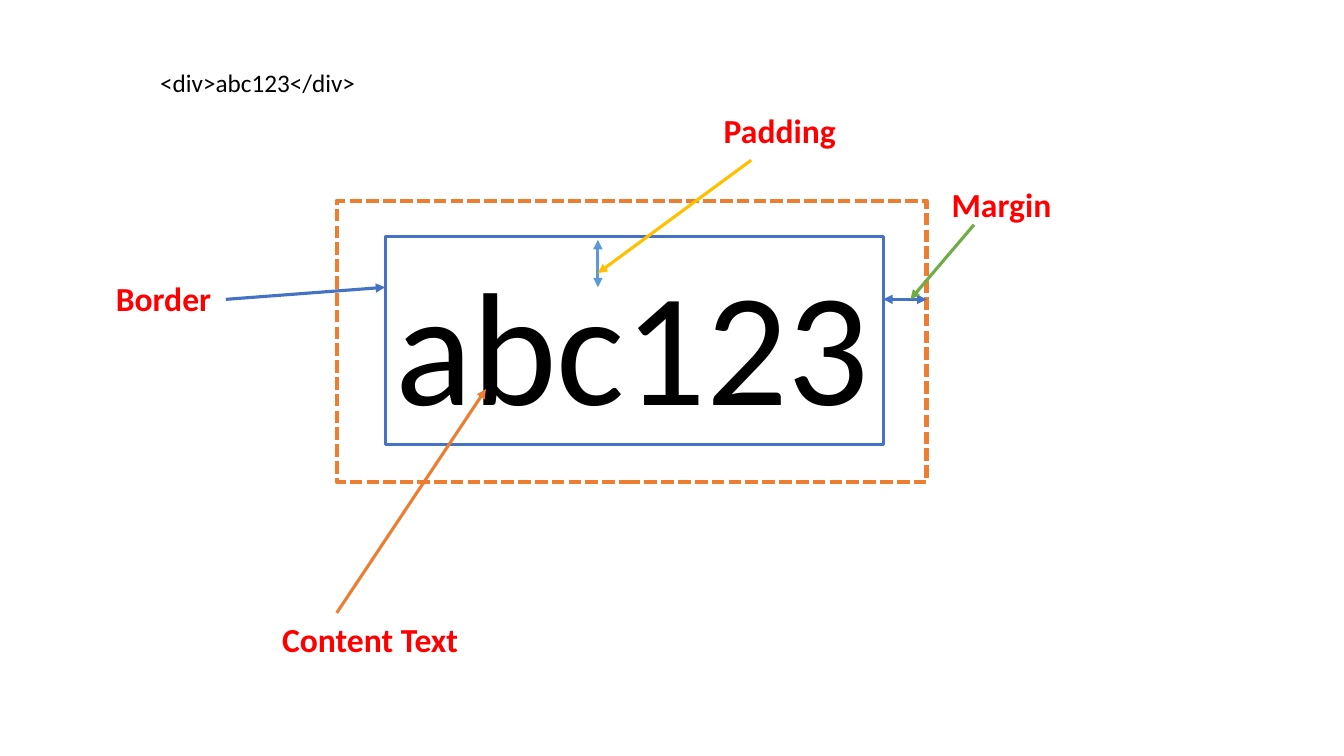
from lxml.etree import SubElement
from pptx import Presentation
from pptx.dml.color import RGBColor
from pptx.enum.dml import MSO_LINE
from pptx.enum.shapes import MSO_CONNECTOR, MSO_SHAPE
from pptx.oxml.ns import qn
from pptx.util import Inches, Pt

BLUE = "4472C4"
ORANGE = "ED7D31"
RED = "FF0000"


def color(hex_code):
    return RGBColor.from_string(hex_code)


def add_text(slide, text, box, size=24, ink=RED, bold=True):
    label = slide.shapes.add_textbox(*map(Inches, box))
    label.text_frame.word_wrap = True
    run = label.text_frame.paragraphs[0].add_run()
    run.text = text
    run.font.name = "Calibri"
    run.font.size = Pt(size)
    run.font.bold = bold
    run.font.color.rgb = color(ink)


def add_frame(slide, box, ink, weight, fill=None, dash=None):
    frame = slide.shapes.add_shape(MSO_SHAPE.RECTANGLE, *map(Inches, box))
    frame.shadow.inherit = False
    if fill:
        frame.fill.solid()
        frame.fill.fore_color.rgb = color(fill)
    else:
        frame.fill.background()
    frame.line.color.rgb = color(ink)
    frame.line.width = Pt(weight)
    if dash:
        frame.line.dash_style = dash


def add_arrow(slide, start, end, ink, ends=("tailEnd",)):
    arrow = slide.shapes.add_connector(MSO_CONNECTOR.STRAIGHT, *map(Inches, (*start, *end)))
    arrow.line.color.rgb = color(ink)
    arrow.line.width = Pt(2.25)
    outline = arrow.line._get_or_add_ln()
    for end_tag in ends:
        SubElement(outline, qn(f"a:{end_tag}")).set("type", "triangle")
    SubElement(arrow._element.spPr, qn("a:effectLst"))


def add_box_model(slide, margin_box, border_box):
    left, top, width, height = border_box
    add_frame(slide, margin_box, ORANGE, 3, dash=MSO_LINE.SQUARE_DOT)
    add_frame(slide, border_box, BLUE, 2.25, fill="FFFFFF")
    add_text(slide, "abc123", (left, top + 0.03, width, height), size=115, ink="000000", bold=False)


def add_measures(slide, margin_box, border_box):
    left, top, width, _ = border_box
    both_ends = ("headEnd", "tailEnd")
    padding_x = left + 2.11
    margin_y = top + 0.62
    add_arrow(slide, (padding_x, top + 0.03), (padding_x, top + 0.5), "5B9BD5", both_ends)
    add_arrow(slide, (left + width, margin_y), (margin_box[0] + margin_box[2], margin_y), BLUE, both_ends)


def add_callouts(slide, border_box):
    left, top, width, _ = border_box
    callouts = [
        ("Content Text", (-1.12, 3.74), 2.06, (-0.48, 3.73), (1, 1.51), ORANGE),
        ("Border", (-2.77, 0.36), 1.19, (-1.58, 0.62), (0, 0.5), BLUE),
        ("Padding", (3.26, -1.31), 1.53, (3.63, -0.76), (2.11, 0.36), "FFC000"),
        ("Margin", (width + 0.58, -0.57), 1.53, (width + 0.9, -0.12), (width + 0.27, 0.62), "70AD47"),
    ]
    for name, (dx, dy), label_width, start, target, ink in callouts:
        add_text(slide, name, (left + dx, top + dy, label_width, 0.5))
        add_arrow(slide, *((left + x, top + y) for x, y in (start, target)), ink)


def main():
    deck = Presentation()
    deck.slide_width, deck.slide_height = Inches(13.33), Inches(7.5)
    slide = deck.slides.add_slide(deck.slide_layouts[6])
    margin_box = (3.34, 1.99, 5.85, 2.79)
    border_box = (3.82, 2.35, 4.94, 2.06)
    add_box_model(slide, margin_box, border_box)
    add_text(slide, "<div>abc123</div>", (1.49, 0.62, 3.4, 0.4), size=18, ink="000000", bold=False)
    add_measures(slide, margin_box, border_box)
    add_callouts(slide, border_box)
    deck.save("out.pptx")


if __name__ == "__main__":
    main()
